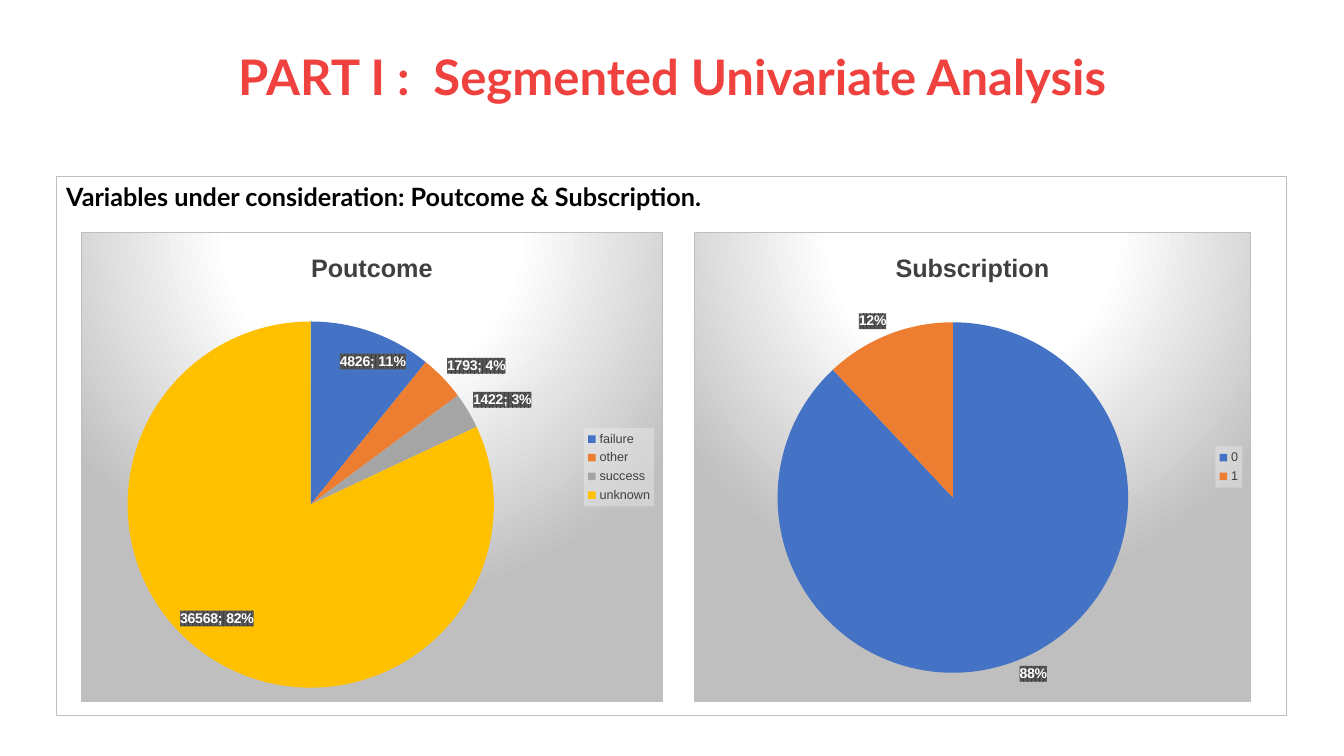
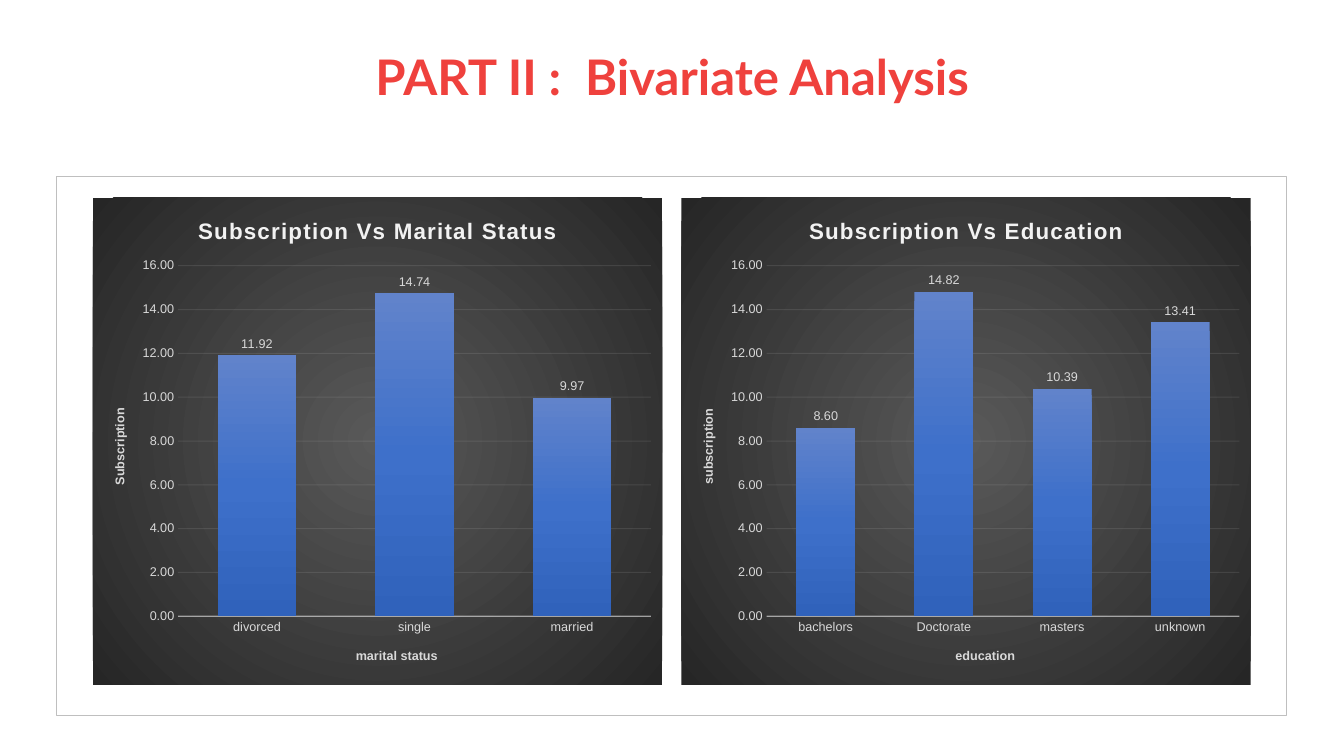
from pptx import Presentation
from pptx.chart.data import CategoryChartData
from pptx.dml.color import RGBColor
from pptx.enum.chart import (XL_CHART_TYPE as Kind, XL_LABEL_POSITION as Spot,
                             XL_LEGEND_POSITION as Side, XL_TICK_MARK as Tick)
from pptx.enum.shapes import MSO_SHAPE as Shape
from pptx.enum.text import MSO_ANCHOR as Anchor, PP_ALIGN as Align
from pptx.oxml import parse_xml
from pptx.oxml.ns import nsdecls, qn
from pptx.util import Cm, Pt

RED, BLACK, WHITE = "EF413D", "000000", "FFFFFF"
DARK, GREY, SILVER, PALE = "404040", "BFBFBF", "D9D9D9", "F2F2F2"
SLICES = ["4472C4", "ED7D31", "A5A5A5", "FFC000"]
BAR_STOPS = [(0, "6183CB"), (50, "3E70CA"), (100, "3062BB")]
LIGHT_STOPS = [(0, WHITE), (39, WHITE), (100, GREY)]
DARK_STOPS = [(0, "595959"), (100, "262626")]

# Boxes are left, top, width, height in cm; plots are fractions of the chart.
TITLE_BOX = (2.34, 1.02, 29.21, 3.68)
FRAME_BOX = (1.42, 4.45, 31.01, 13.59)
BAR_PLOT = (0.15, 0.14, 0.83, 0.72)

PIE_HEAD = "PART I :  Segmented Univariate Analysis"
PIE_NOTE = "Variables under consideration: Poutcome & Subscription."
PIES = [
    dict(title="Poutcome", box=(2.03, 5.84, 14.68, 11.86),
         plot=(0.08, 0.19, 0.63, 0.78), values=True, spot=Spot.BEST_FIT,
         data={"failure": 4826, "other": 1793, "success": 1422,
               "unknown": 36568}),
    dict(title="Subscription", box=(17.48, 5.84, 14.05, 11.86),
         plot=(0.15, 0.19, 0.63, 0.75), values=False, spot=Spot.OUTSIDE_END,
         data={"0": 88, "1": 12}),
]
BAR_HEAD = "PART II :  Bivariate Analysis"
BARS = [
    dict(title="Subscription Vs Marital Status", box=(2.34, 4.98, 14.35, 12.27),
         axes=("marital status", "Subscription"),
         data={"divorced": 11.92, "single": 14.74, "married": 9.97}),
    dict(title="Subscription Vs Education", box=(17.17, 4.98, 14.35, 12.27),
         axes=("education", "subscription"),
         data={"bachelors": 8.6, "Doctorate": 14.82, "masters": 10.39,
               "unknown": 13.41}),
]


def rgb(code):
    return RGBColor.from_string(code)


def cms(box):
    return [Cm(n) for n in box]


def ink(font, size, color, bold=False, name="Arial"):
    font.size, font.bold, font.name = Pt(size), bold, name
    font.color.rgb = rgb(color)


def solid(color, alpha=100):
    return (f'<a:solidFill><a:srgbClr val="{color}">'
            f'<a:alpha val="{alpha * 1000}"/></a:srgbClr></a:solidFill>')


def blend(stops, shade):
    marks = "".join(f'<a:gs pos="{at * 1000}"><a:srgbClr val="{color}"/></a:gs>'
                    for at, color in stops)
    return f'<a:gradFill><a:gsLst>{marks}</a:gsLst>{shade}</a:gradFill>'


def glow(stops, top, bottom):
    """Radial gradient around a box given in percent."""
    return blend(stops, '<a:path path="circle"><a:fillToRect l="50000" '
                 f't="{top * 1000}" r="50000" b="{bottom * 1000}"/></a:path>')


def paint(node, fill):
    """Put shape properties just before the text properties of a chart part."""
    node.find(qn("c:txPr")).addprevious(parse_xml(
        f'<c:spPr {nsdecls("c", "a")}>{fill}</c:spPr>'))


def rule(line, width, color, alpha):
    line.width = Pt(width)
    line.color.rgb = rgb(color)
    for tint in line._get_or_add_ln().iter(qn("a:srgbClr")):
        tint.append(parse_xml(
            f'<a:alpha {nsdecls("a")} val="{alpha * 1000}"/>'))


def label(frame, text, size, color):
    frame.text = text
    ink(frame.paragraphs[0].font, size, color, True)


def place(chart, plot):
    """Fix the inner plot area."""
    spots = "".join(f'<c:{key} val="{n}"/>' for key, n in zip("xywh", plot))
    area = chart.element.find(".//" + qn("c:plotArea"))
    for old in area.findall(qn("c:layout")):
        area.remove(old)
    area.insert(0, parse_xml(
        f'<c:layout {nsdecls("c")}><c:manualLayout><c:layoutTarget val="inner"/>'
        '<c:xMode val="edge"/><c:yMode val="edge"/>'
        f'{spots}</c:manualLayout></c:layout>'))


def add_chart(slide, kind, item, plot, size, color, back):
    data = CategoryChartData()
    data.categories = list(item["data"])
    data.add_series("Series 1", list(item["data"].values()))
    chart = slide.shapes.add_chart(kind, *cms(item["box"]), data).chart
    ink(chart.font, 10, BLACK)
    paint(chart.element, back)
    chart.has_title = True
    chart.chart_title.include_in_layout = False
    label(chart.chart_title.text_frame, item["title"], size, color)
    place(chart, plot)
    chart.plots[0].has_data_labels = True
    return chart


def add_pie(slide, item):
    back = (glow(LIGHT_STOPS, -80, 180)
            + f'<a:ln w="9525">{solid(GREY)}</a:ln>')
    chart = add_chart(slide, Kind.PIE, item, item["plot"], 18, DARK, back)
    plot = chart.plots[0]
    plot.vary_by_categories = True
    for i, color in enumerate(SLICES[:len(item["data"])]):
        fill = plot.series[0].points[i].format.fill
        fill.solid()
        fill.fore_color.rgb = rgb(color)
    tags = plot.data_labels
    tags.show_value, tags.show_percentage = item["values"], True
    tags.position = item["spot"]
    ink(tags.font, 10, WHITE, True)
    paint(tags._element, '<a:pattFill prst="pct75">'
          f'<a:fgClr><a:srgbClr val="{DARK}"/></a:fgClr>'
          '<a:bgClr><a:srgbClr val="595959"/></a:bgClr></a:pattFill>')
    chart.has_legend = True
    chart.legend.position = Side.RIGHT
    chart.legend.include_in_layout = False
    ink(chart.legend.font, 9, DARK)
    paint(chart.legend._element, solid(PALE, 39))


def add_bars(slide, item):
    back = glow(DARK_STOPS, 50, 50) + '<a:ln><a:noFill/></a:ln>'
    chart = add_chart(slide, Kind.COLUMN_CLUSTERED, item, BAR_PLOT, 16, PALE,
                      back)
    head = chart.chart_title.text_frame.paragraphs[0]
    head.runs[0].font._element.set("spc", "100")
    chart.has_legend = False
    plot = chart.plots[0]
    plot.vary_by_categories = False
    plot.gap_width, plot.overlap = 100, -24
    fill = blend(BAR_STOPS, '<a:lin ang="5400000" scaled="0"/>')
    fill = fill.replace("<a:gradFill>", f'<a:gradFill {nsdecls("a")}>', 1)
    plot.series[0]._element.get_or_add_spPr().append(parse_xml(fill))
    tags = plot.data_labels
    tags.show_value, tags.position = True, Spot.OUTSIDE_END
    tags.number_format, tags.number_format_is_linked = "0.00", False
    ink(tags.font, 9, SILVER)

    cat, val = chart.category_axis, chart.value_axis
    for axis, text in zip((cat, val), item["axes"]):
        axis.major_tick_mark = axis.minor_tick_mark = Tick.NONE
        ink(axis.tick_labels.font, 9, SILVER)
        label(axis.axis_title.text_frame, text, 9, SILVER)
    val.axis_title.text_frame._txBody.bodyPr.set("rot", "-5400000")
    rule(cat.format.line, 1, PALE, 54)
    rule(val.major_gridlines.format.line, 0.75, PALE, 10)
    val.format.line.fill.background()
    val.minimum_scale, val.maximum_scale, val.major_unit = 0, 16, 2
    val.tick_labels.number_format = "0.00"
    val.tick_labels.number_format_is_linked = False


def add_slide(deck, text, note=""):
    """Slide with the shared title and frame."""
    slide = deck.slides.add_slide(deck.slide_layouts[5])
    title = slide.shapes.title
    title.left, title.top, title.width, title.height = cms(TITLE_BOX)
    frame = title.text_frame
    frame.text = text
    frame.vertical_anchor, frame.margin_top = Anchor.TOP, Cm(0.33)
    para = frame.paragraphs[0]
    para.alignment, para.line_spacing = Align.CENTER, 0.9
    ink(para.font, 35, RED, True, "Lato")

    panel = slide.shapes.add_shape(Shape.RECTANGLE, *cms(FRAME_BOX))
    panel.shadow.inherit = False
    panel.fill.background()
    panel.line.color.rgb = rgb(GREY)
    panel.line.width = Pt(0.75)
    if note:
        panel.text_frame.text = note
        panel.text_frame.vertical_anchor = Anchor.TOP
        para = panel.text_frame.paragraphs[0]
        para.alignment = Align.LEFT
        ink(para.font, 18, BLACK, True, "Lato")
    return slide


def main():
    deck = Presentation()
    deck.slide_width, deck.slide_height = Cm(33.87), Cm(19.05)
    slide = add_slide(deck, PIE_HEAD, PIE_NOTE)
    for item in PIES:
        add_pie(slide, item)
    slide = add_slide(deck, BAR_HEAD)
    for item in BARS:
        add_bars(slide, item)
    deck.save("out.pptx")


if __name__ == "__main__":
    main()
